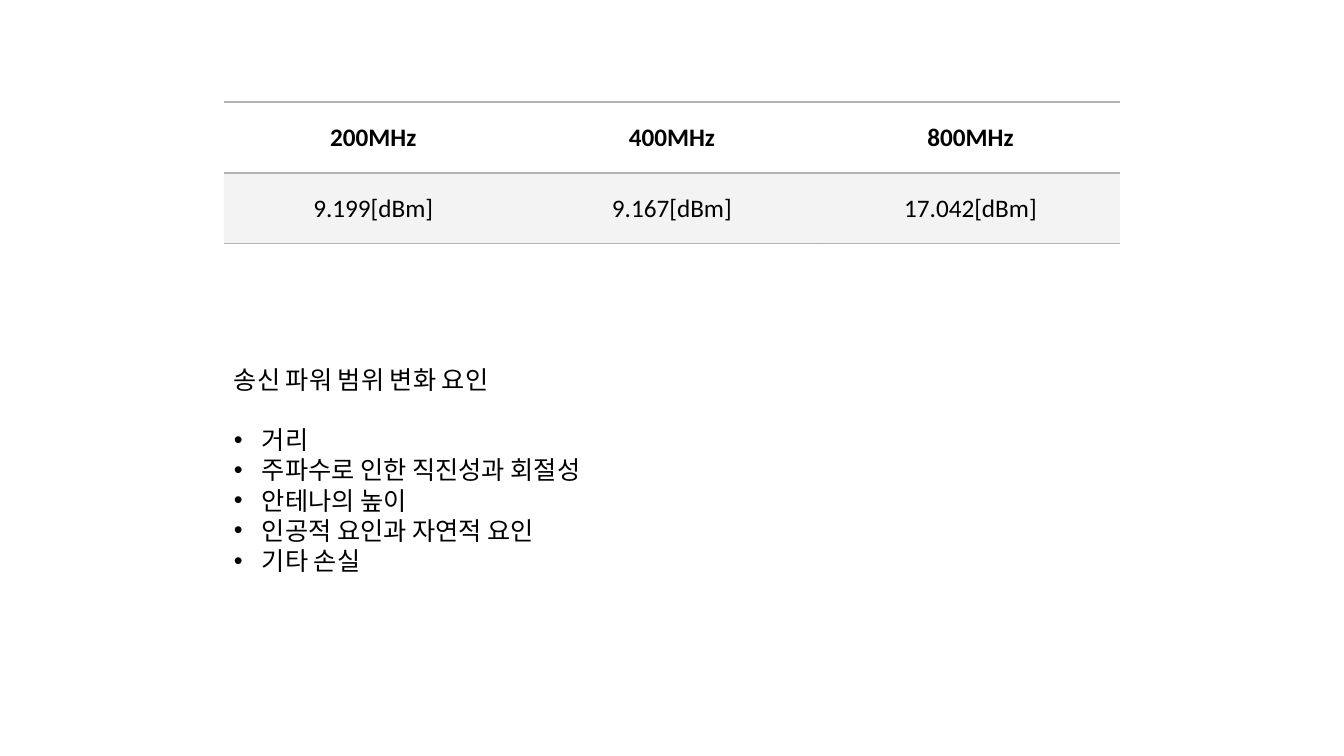
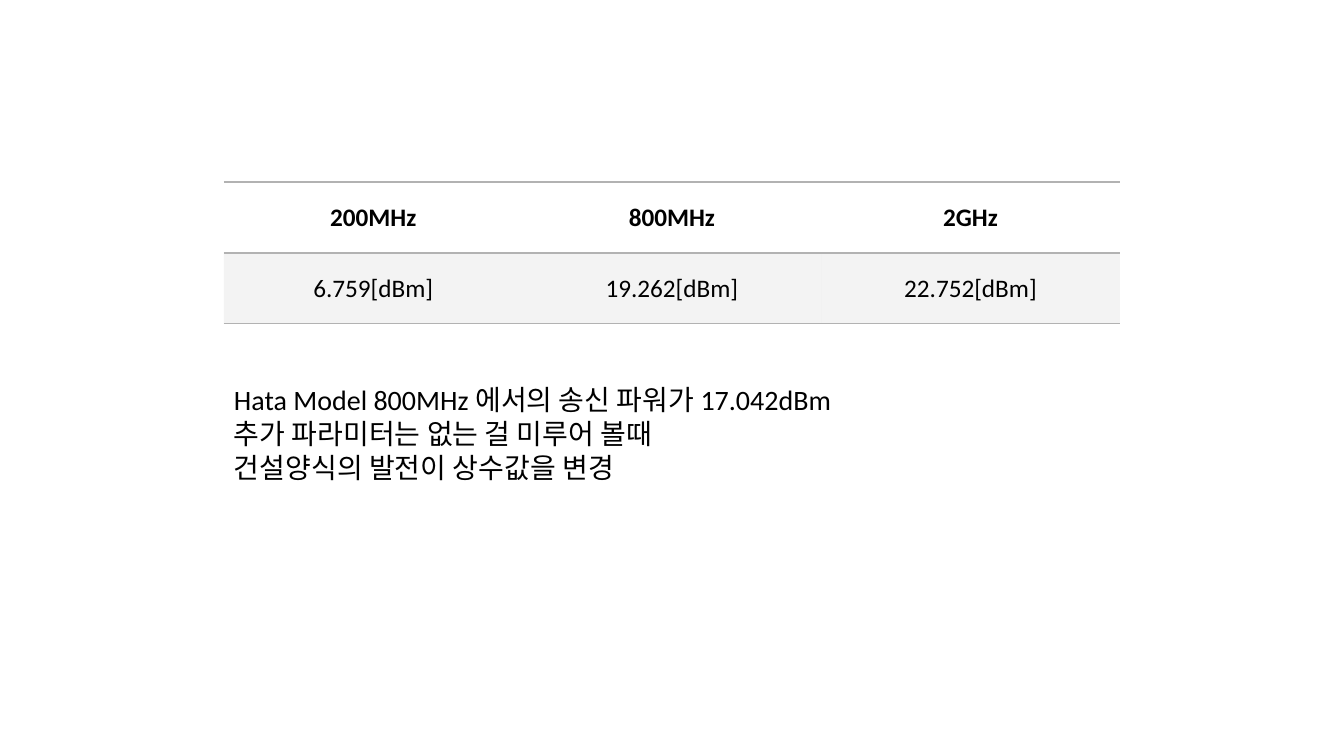
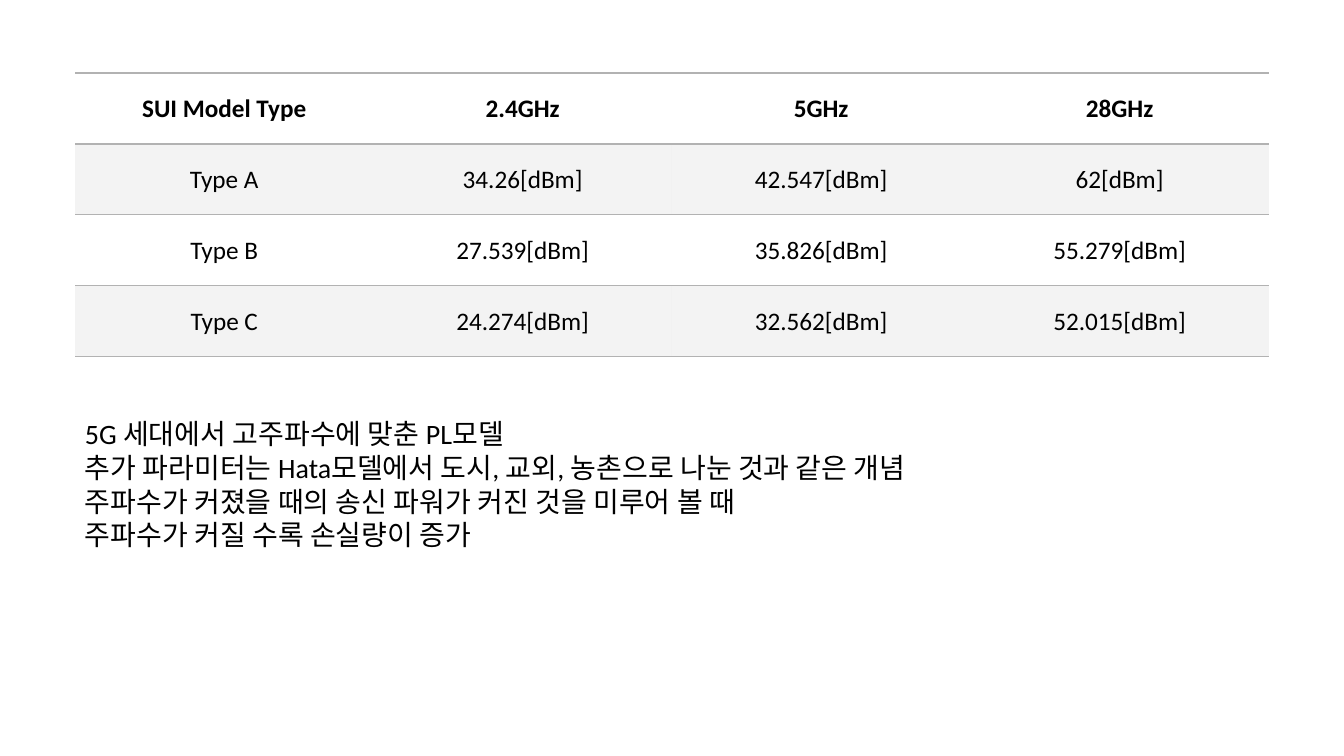
import pptx
import pptx.util
import pptx.dml.color
import pptx.enum.text
import pptx.oxml
import pptx.oxml.ns

# Content: one dict per slide
SLIDES = [
    dict(
        table_at=(224, 102, 896),
        rows=[("200MHz", "400MHz", "800MHz"),
              ("9.199[dBm]", "9.167[dBm]", "17.042[dBm]")],
        note_at=(224, 359, 448, 222), size=18,
        heading="송신 파워 범위 변화 요인",
        bullets=["거리", "주파수로 인한 직진성과 회절성", "안테나의 높이",
                 "인공적 요인과 자연적 요인", "기타 손실"],
    ),
    dict(
        table_at=(224, 182, 896),
        rows=[("200MHz", "800MHz", "2GHz"),
              ("6.759[dBm]", "19.262[dBm]", "22.752[dBm]")],
        note_at=(224, 378, 638, 111), size=20,
        lines=["Hata Model 800MHz 에서의 송신 파워가 17.042dBm",
               "추가 파라미터는 없는 걸 미루어 볼때",
               "건설양식의 발전이 상수값을 변경"],
    ),
    dict(
        table_at=(75, 73, 1194),
        rows=[("SUI Model Type", "2.4GHz", "5GHz", "28GHz"),
              ("Type A", "34.26[dBm]", "42.547[dBm]", "62[dBm]"),
              ("Type B", "27.539[dBm]", "35.826[dBm]", "55.279[dBm]"),
              ("Type C", "24.274[dBm]", "32.562[dBm]", "52.015[dBm]")],
        note_at=(75, 412, 987, 144), size=20,
        lines=["5G 세대에서 고주파수에 맞춘 PL모델",
               "추가 파라미터는 Hata모델에서 도시, 교외, 농촌으로 나눈 것과 같은 개념",
               "주파수가 커졌을 때의 송신 파워가 커진 것을 미루어 볼 때",
               "주파수가 커질 수록 손실량이 증가"],
    ),
]

# Shared style
COLORS = dict(text="000000", rule="B2B2B2", band="C5C5C5")
FONT = "Calibri"
BAND_ALPHA = 20
HEAD_RULE, BODY_RULE = 1.79, 0.79
WIDTH, HEIGHT, ROW_H, INDENT = 1344, 756, 71, 28
SCALE = 12192000 / WIDTH
CENTER = pptx.enum.text.PP_ALIGN.CENTER


def px(n):
    return pptx.util.Emu(round(n * SCALE))


def rgb(name):
    return pptx.dml.color.RGBColor.from_string(COLORS[name])


def element(xml):
    tag, rest = xml[1:].split(" ", 1)
    return pptx.oxml.parse_xml(f"<{tag} {pptx.oxml.ns.nsdecls('a')} {rest}")


def write(p, text, size=18, bold=False, align=None, bullet=False, after=None):
    p.alignment = align
    if after:
        p.space_after = pptx.util.Pt(after)
    if bullet:
        pPr = p._p.get_or_add_pPr()
        pPr.set("marL", str(px(INDENT)))
        pPr.set("indent", str(-px(INDENT)))
        pPr.append(element('<a:buFont typeface="Arial"/>'))
        pPr.append(element('<a:buChar char="•"/>'))
    r = p.add_run()
    r.text = text
    r.font.name = FONT
    r.font.size = pptx.util.Pt(size)
    r.font.bold = bold
    r.font.color.rgb = rgb("text")


def set_borders(cell, top, bottom):
    """Horizontal rules only; the sides stay open."""
    widths = dict(lnL=0, lnR=0, lnT=top, lnB=bottom)
    for i, (tag, width) in enumerate(widths.items()):
        paint = (f'<a:solidFill><a:srgbClr val="{COLORS["rule"]}"/></a:solidFill>'
                 if width else "<a:noFill/>")
        line = element(f'<a:{tag} w="{pptx.util.Pt(width)}">{paint}</a:{tag}>')
        cell._tc.get_or_add_tcPr().insert(i, line)


def add_power_table(s, rows, x, y, w):
    n_rows, n_cols = len(rows), len(rows[0])
    table = s.shapes.add_table(n_rows, n_cols, px(x), px(y),
                               px(w), px(ROW_H * n_rows)).table
    table.first_row = table.horz_banding = False
    for col in table.columns:
        col.width = px(w / n_cols)
    rules = [HEAD_RULE] * 2 + [BODY_RULE] * (n_rows - 1)
    for i, row in enumerate(rows):
        table.rows[i].height = px(ROW_H)
        for j, text in enumerate(row):
            cell = table.cell(i, j)
            cell.vertical_anchor = pptx.enum.text.MSO_ANCHOR.MIDDLE
            write(cell.text_frame.paragraphs[0], text, bold=i == 0, align=CENTER)
            if i % 2:
                cell.fill.solid()
                cell.fill.fore_color.rgb = rgb("band")
                color = cell._tc.tcPr.find(".//" + pptx.oxml.ns.qn("a:srgbClr"))
                color.append(element(f'<a:alpha val="{BAND_ALPHA * 1000}"/>'))
            else:
                cell.fill.background()
            set_borders(cell, rules[i], rules[i + 1])


def add_note(s, at, size, heading=None, bullets=(), lines=()):
    tf = s.shapes.add_textbox(*map(px, at)).text_frame
    tf.word_wrap = True
    tf.auto_size = pptx.enum.text.MSO_AUTO_SIZE.SHAPE_TO_FIT_TEXT
    # A heading stands one line clear of its bullets
    items = [(heading, dict(after=size * 1.2))] if heading else []
    items += [(text, dict(bullet=True)) for text in bullets]
    items += [(text, {}) for text in lines]
    for i, (text, style) in enumerate(items):
        p = tf.add_paragraph() if i else tf.paragraphs[0]
        write(p, text, size=size, **style)


def main():
    prs = pptx.Presentation()
    prs.slide_width, prs.slide_height = px(WIDTH), px(HEIGHT)
    blank = prs.slide_layouts[6]
    for data in SLIDES:
        s = prs.slides.add_slide(blank)
        add_power_table(s, data["rows"], *data["table_at"])
        add_note(s, data["note_at"], data["size"], data.get("heading"),
                 data.get("bullets", ()), data.get("lines", ()))
    prs.save("out.pptx")


if __name__ == "__main__":
    main()
